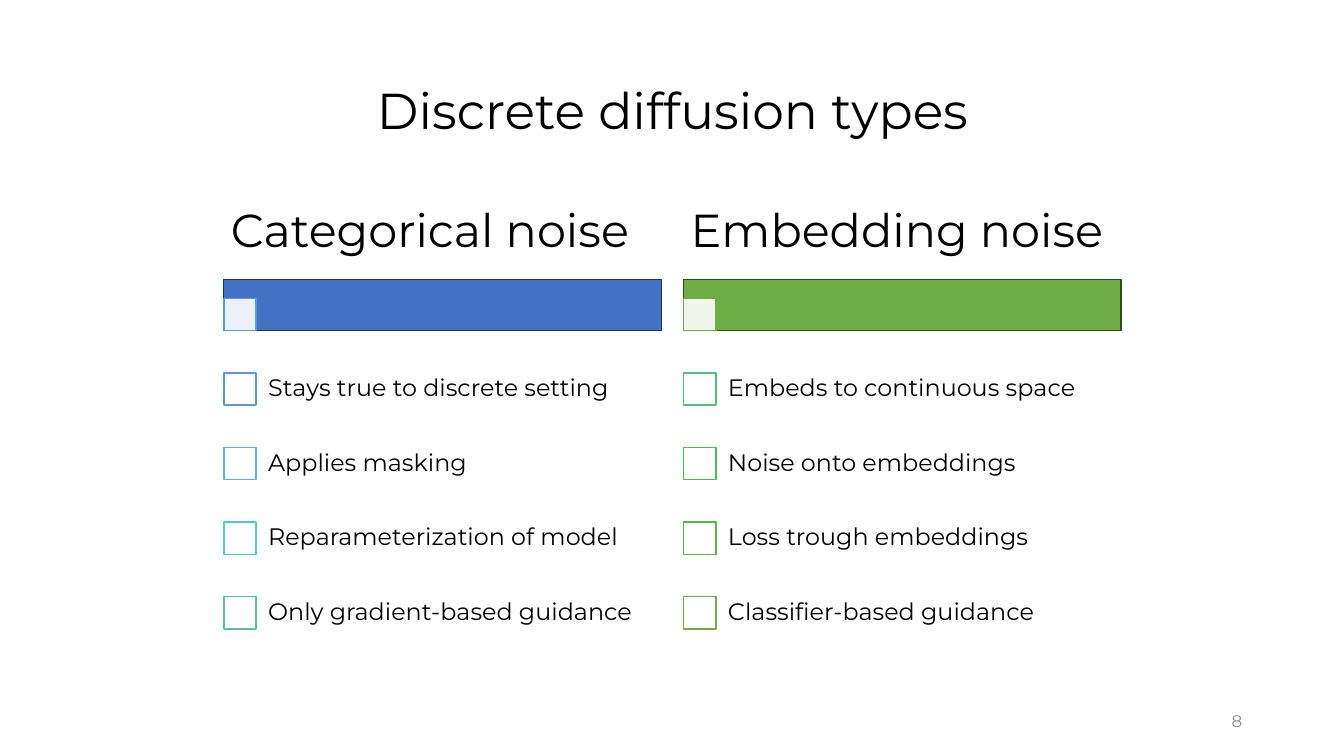
from pptx import Presentation
from pptx.dml.color import RGBColor
from pptx.enum.shapes import MSO_SHAPE
from pptx.enum.text import MSO_ANCHOR, PP_ALIGN
from pptx.oxml.ns import qn
from pptx.util import Inches, Pt
from lxml import etree


def add_box(shapes, x, y, w, h, fill, line):
    sp = shapes.add_shape(MSO_SHAPE.RECTANGLE, Inches(x), Inches(y), Inches(w), Inches(h))
    sp.shadow.inherit = False
    sp.fill.solid()
    sp.fill.fore_color.rgb = RGBColor.from_string(fill)
    sp.line.color.rgb = RGBColor.from_string(line)
    sp.line.width = Pt(1)
    return sp


def add_text(shapes, x, y, w, h, text, size, color="000000", align=PP_ALIGN.LEFT,
             spacing=0.9, inset_x=0.1, inset_y=0.05):
    tf = shapes.add_textbox(Inches(x), Inches(y), Inches(w), Inches(h)).text_frame
    tf.word_wrap = True
    tf.vertical_anchor = MSO_ANCHOR.MIDDLE
    tf.margin_left = tf.margin_right = Inches(inset_x)
    tf.margin_top = tf.margin_bottom = Inches(inset_y)
    tf.text = text
    p = tf.paragraphs[0]
    p.alignment = align
    p.line_spacing = spacing
    font = p.runs[0].font
    font.name = "Montserrat"
    font.size = Pt(size)
    font.color.rgb = RGBColor.from_string(color)


prs = Presentation()
prs.slide_width, prs.slide_height = Inches(13.33), Inches(7.5)
s = prs.slides.add_slide(prs.slide_layouts[6])

# Title and slide number
add_text(s.shapes, 0.92, 0.4, 11.5, 1.45, "Discrete diffusion types", 36, align=PP_ALIGN.CENTER)
add_text(s.shapes, 9.42, 6.95, 3, 0.4, "8", 12, "8C8C8C", PP_ALIGN.RIGHT, spacing=1.0)

# Columns: left, heading, bar fill, bar line, marker line, items with their box colours
columns = [
    (2.22, "Categorical noise", "4472C4", "1E3256", "5B9BD5", [
        ("Stays true to discrete setting", "5B9BD5"),
        ("Applies masking", "57B7D1"),
        ("Reparameterization of model", "53CCC5"),
        ("Only gradient-based guidance", "4FC7A0"),
    ]),
    (6.78, "Embedding noise", "70AD47", "314C1F", "70AD47", [
        ("Embeds to continuous space", "4CC27B"),
        ("Noise onto embeddings", "48BD58"),
        ("Loss trough embeddings", "55B646"),
        ("Classifier-based guidance", "70AD47"),
    ]),
]
COLUMN_W, BOX, ROW_H, ROWS_TOP = 4.34, 0.32, 0.74, 3.49

group = s.shapes.add_group_shape().shapes
for left, heading, bar_fill, bar_line, marker_line, items in columns:
    # Heading, bar and translucent marker
    add_box(group, left, 2.77, COLUMN_W, 0.51, bar_fill, bar_line)
    marker = add_box(group, left, 2.96, BOX, BOX, "FFFFFF", marker_line)
    white = marker.fill._xPr.find(qn("a:solidFill")).find(qn("a:srgbClr"))
    etree.SubElement(white, qn("a:alpha")).set("val", "90000")
    add_text(group, left, 1.85, COLUMN_W, 0.92, heading, 33, inset_x=0.07)

    # Items with their boxes
    for i, (item, color) in enumerate(items):
        top = ROWS_TOP + i * ROW_H
        add_box(group, left, top + (ROW_H - BOX) / 2, BOX, BOX, "FFFFFF", color)
        add_text(group, left + 0.31, top, COLUMN_W - 0.31, ROW_H, item, 17,
                 inset_x=0.13, inset_y=0.13)

prs.save("out.pptx")
